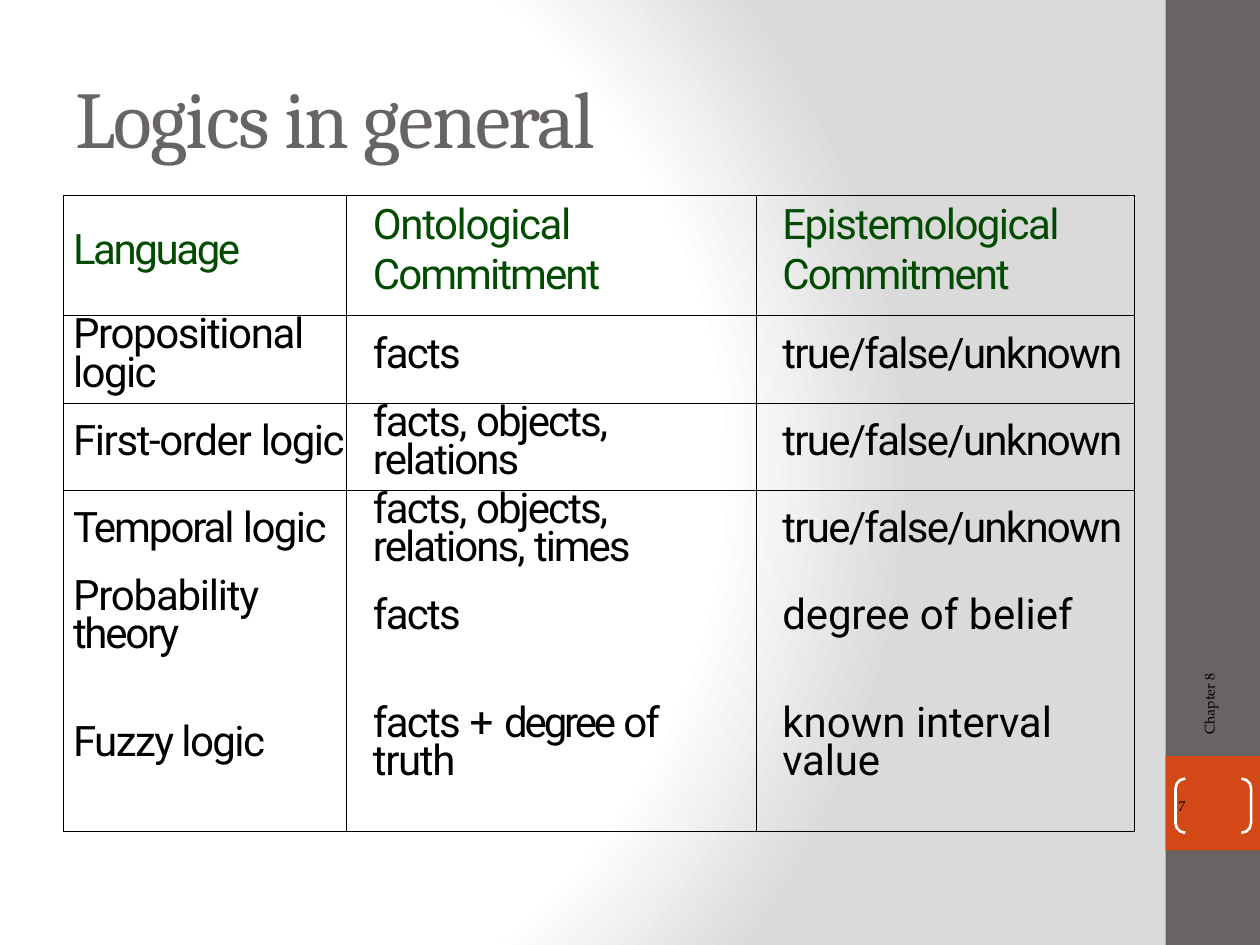
from pptx import Presentation
from pptx.dml.color import RGBColor
from pptx.enum.shapes import MSO_SHAPE as Kind
from pptx.enum.text import MSO_ANCHOR as Anchor, PP_ALIGN as Align
from pptx.oxml import parse_xml
from pptx.util import Pt

UNIT = 9144
NS = ('xmlns:a="http://schemas.openxmlformats.org/drawingml/2006/main" '
      'xmlns:p="http://schemas.openxmlformats.org/presentationml/2006/main"')
PLAIN = "{2D5ABB26-0587-4C30-8999-92F81FD0307C}"
BLACK, WHITE, GRAY, ORANGE, GREEN = "000000", "FFFFFF", "696464", "D34817", "004B00"

KNOWN = [("true/false/unknown", -1)]
FACTS = [("facts", -1)]
COLS = [225, 325, 300]
ROWS = [
    (95, 22.1, [
        [[("Language", -1.4)]],
        [[("Ontological", -0.8)], [("Commitment", -1.1)]],
        [[("Epistemological", -0.9)], [("Commitment", -1.1)]]]),
    (70, 22.1, [
        [[("Propositional ", -0.8), ("logic", -0.9)]], [FACTS], [KNOWN]]),
    (69, 21.9, [
        [[("First-order ", -0.8), ("logic", -0.9)]],
        [[("facts, ", -1), ("objects, relations", -1.1)]], [KNOWN]]),
    (69, 21.8, [
        [[("Temporal ", -1.2), ("logic", -0.9)]],
        [[("facts, ", -1), ("objects, relations, ", -1.1), ("times", -1.2)]],
        [KNOWN]]),
    (69, 21.9, [
        [[("Probability ", -0.7), ("theory", -1.3)]], [FACTS],
        [[("degre", -0.1), ("e of ", 0), ("b", 0.4), ("elief", 0)]]]),
    (133, 21.8, [
        [[("Fuzzy logic", -0.9)]],
        [[("facts ", -1), ("+ ", 0.1), ("degree ", -1.8), ("of ", -1.1),
          ("truth", -0.8)]],
        [[("kn", 0), ("o", -0.6), ("w", -0.1), ("n ", 0), ("interva", -0.1),
          ("l ", 0), ("value", -0.1)]]]),
]


def px(num):
    return num * UNIT


def rgb(code):
    return RGBColor.from_string(code)


class Deck:
    def __init__(self, wide, high):
        self.show = Presentation()
        self.show.slide_width, self.show.slide_height = px(wide), px(high)
        self.slide = self.show.slides.add_slide(self.show.slide_layouts[6])
        self.shapes = self.slide.shapes

    def back(self, stops, focus):
        marks = "".join(f'<a:gs pos="{pos * 1000}"><a:srgbClr val="{hue}"/></a:gs>'
                        for pos, hue in stops)
        edge = " ".join(f'{side}="{val * 1000}"' for side, val in zip("ltrb", focus))
        self.slide.element.cSld.insert(0, parse_xml(
            f'<p:bg {NS}><p:bgPr><a:gradFill rotWithShape="1"><a:gsLst>{marks}</a:gsLst>'
            f'<a:path path="circle"><a:fillToRect {edge}/></a:path></a:gradFill>'
            '<a:effectLst/></p:bgPr></p:bg>'))

    def shape(self, kind, box, fill=None, line=None):
        item = self.shapes.add_shape(kind, *map(px, box))
        item.shadow.inherit = False
        if fill:
            item.fill.solid()
            item.fill.fore_color.rgb = rgb(fill)
        else:
            item.fill.background()
        if line:
            item.line.color.rgb = rgb(line)
            item.line.width = Pt(1.5)
        else:
            item.line.fill.background()
        return item

    def run(self, para, text, size, font, hue, gap=0):
        run = para.add_run()
        run.text = text
        run.font.size, run.font.name = Pt(size), font
        run.font.color.rgb = rgb(hue)
        run.font._element.set("spc", str(round(gap * 100)))

    def label(self, frame, text, size, font, hue, gap=0):
        frame.word_wrap = True
        frame.vertical_anchor = Anchor.MIDDLE
        para = frame.paragraphs[0]
        para.alignment = Align.LEFT
        self.run(para, text, size, font, hue, gap)

    def text(self, box, *style, turn=0):
        item = self.shapes.add_textbox(*map(px, box))
        item.rotation = turn
        self.label(item.text_frame, *style)

    def cell(self, cell, paras, lead, hue, left, right, sides):
        cell.margin_left = cell.margin_top = cell.margin_bottom = 0
        cell.margin_right = px(right)
        cell.vertical_anchor = Anchor.MIDDLE
        frame = cell.text_frame
        for num, runs in enumerate(paras):
            para = frame.add_paragraph() if num else frame.paragraphs[0]
            para._p.get_or_add_pPr().set("marL", str(px(left)))
            if num:
                para.space_before = Pt(0.2)
            else:
                para.line_spacing = Pt(lead)
            for text, gap in runs:
                self.run(para, text, 24, "Roboto", hue, gap)
        props = cell._tc.get_or_add_tcPr()
        for side in sides:
            props.append(parse_xml(
                f'<a:ln{side} {NS} w="6350"><a:solidFill><a:srgbClr val="{BLACK}"/>'
                f'</a:solidFill></a:ln{side}>'))
        cell.fill.background()

    def table(self, left, top, cols, rows):
        high = sum(row[0] for row in rows)
        grid = self.shapes.add_table(len(rows), len(cols), px(left), px(top),
                                     px(sum(cols)), px(high)).table
        grid.first_row = grid.horz_banding = False
        grid._tbl.tblPr[0].text = PLAIN
        for col, wide in zip(grid.columns, cols):
            col.width = px(wide)
        for y, (tall, lead, cells) in enumerate(rows):
            grid.rows[y].height = px(tall)
            sides = "LR" + "T" * (y < 3) + "B" * (y in (0, 1, len(rows) - 1))
            for x, paras in enumerate(cells):
                self.cell(grid.cell(y, x), paras, lead, BLACK if y else GREEN,
                          21 if x else 8, 20 if x == 1 else 0, sides)


def main():
    deck = Deck(1000, 750)
    deck.back([(0, WHITE), (75, WHITE), (100, "DADADA")], (20, 50, 100, 50))
    deck.shape(Kind.RECTANGLE, (925, 0, 75, 750), GRAY)
    deck.shape(Kind.RECTANGLE, (925, 600, 75, 75), ORANGE)
    deck.text((50, 30, 833, 125), "Logics in general", 46, "Cambria", GRAY, -1)
    deck.text((830, 443, 259, 40), "Chapter 8", 8, "TeX Gyre Pagella", BLACK, turn=270)
    page = deck.shape(Kind.DOUBLE_BRACKET, (933, 618, 60, 43), line=WHITE)
    page.adjustments[0] = 0.18
    frame = page.text_frame
    frame.margin_left = frame.margin_right = frame.margin_top = frame.margin_bottom = 0
    deck.label(frame, "7", 8, "TeX Gyre Pagella", BLACK)
    deck.table(50, 155, COLS, ROWS)
    deck.show.save("out.pptx")


if __name__ == "__main__":
    main()
